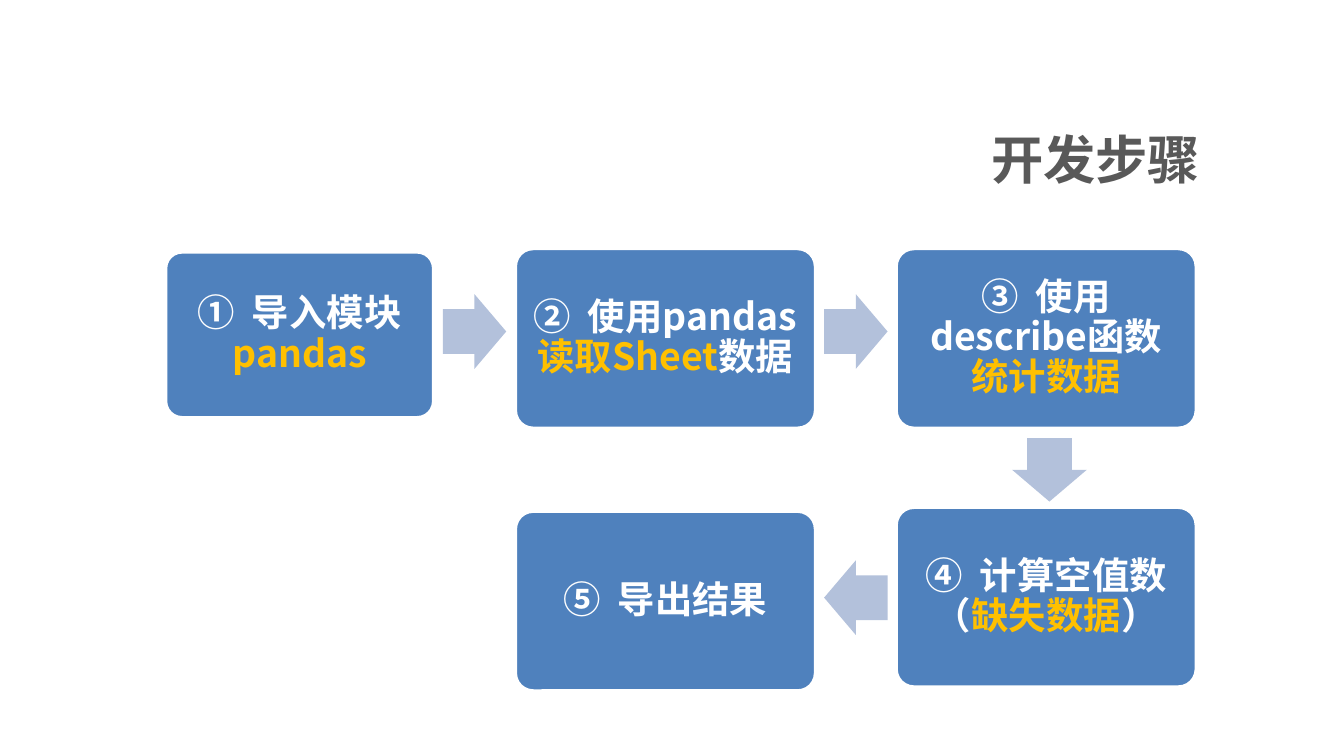
from lxml import etree
from pptx import Presentation
from pptx.dml.color import RGBColor
from pptx.enum import shapes, text
from pptx.oxml import ns
from pptx.util import Pt

FONT = "Noto Sans CJK SC"
GREY = RGBColor(0x59, 0x59, 0x59)
BLUE = RGBColor(0x4F, 0x81, 0xBD)
PALE = RGBColor(0xB3, 0xC1, 0xDB)
WHITE = RGBColor(0xFF, 0xFF, 0xFF)
GOLD = RGBColor(0xFF, 0xC0, 0x00)
SHAPE = shapes.MSO_SHAPE

TITLE = "开发步骤"
SMALL, LARGE = (143.8, 89), (161, 96.5)
COLUMNS = (88.6, 276, 480)

# left, top, size, runs of (text, colour)
STEPS = [
    (COLUMNS[0], 134.9, SMALL, [("①  导入模块", WHITE), ("pandas", GOLD)]),
    (COLUMNS[1], 133.1, LARGE,
     [("②  使用pandas", WHITE), ("读取Sheet", GOLD), ("数据", WHITE)]),
    (COLUMNS[2], 133.1, LARGE, [("③  使用describe函数", WHITE), ("统计数据", GOLD)]),
    (COLUMNS[2], 271.7, LARGE,
     [("④  计算空值数（", WHITE), ("缺失数据", GOLD), ("）", WHITE)]),
    (COLUMNS[1], 273.8, LARGE, [("⑤  导出结果", WHITE)]),
]

ARROW_LENGTH, ARROW_SPAN = 34, 40
GAP_1 = (COLUMNS[0] + SMALL[0] + COLUMNS[1]) / 2
GAP_2 = (COLUMNS[1] + LARGE[0] + COLUMNS[2]) / 2
# preset, centre x, centre y
ARROWS = [
    (SHAPE.RIGHT_ARROW, GAP_1, 177.6),
    (SHAPE.RIGHT_ARROW, GAP_2, 177.6),
    (SHAPE.DOWN_ARROW, 562.2, 251.7),
    (SHAPE.LEFT_ARROW, GAP_2, 320.2),
]


def write(sp, runs, size, align, inset, spacing=1.0):
    """Fill a shape with one paragraph of (text, colour) runs."""
    tf = sp.text_frame
    tf.word_wrap = True
    tf.auto_size = text.MSO_AUTO_SIZE.NONE
    tf.vertical_anchor = text.MSO_ANCHOR.MIDDLE
    tf.margin_left = tf.margin_right = tf.margin_top = tf.margin_bottom = Pt(inset)
    p = tf.paragraphs[0]
    p.alignment = align
    p.line_spacing = spacing
    for words, color in runs:
        r = p.add_run()
        r.text = words
        r.font.size = Pt(size)
        r.font.bold = True
        r.font.name = FONT
        r.font.color.rgb = color
        etree.SubElement(r.font._element, ns.qn("a:ea"), typeface=FONT)


def add_shape(s, preset, left, top, width, height, fill, adjustments):
    sp = s.shapes.add_shape(preset, Pt(left), Pt(top), Pt(width), Pt(height))
    sp.shadow.inherit = False
    sp.fill.solid()
    sp.fill.fore_color.rgb = fill
    sp.line.fill.background()
    for i, value in enumerate(adjustments):
        sp.adjustments[i] = value
    return sp


def main():
    prs = Presentation()
    prs.slide_width, prs.slide_height = Pt(720), Pt(405)
    s = prs.slides.add_slide(prs.slide_layouts[5])

    title = s.shapes.title
    title.left, title.top, title.width, title.height = Pt(130.3), Pt(62.6), Pt(516.2), Pt(44.6)
    write(title, [(TITLE, GREY)], 28, text.PP_ALIGN.RIGHT, 3.6)

    for left, top, (width, height), runs in STEPS:
        box = add_shape(s, SHAPE.ROUNDED_RECTANGLE, left, top, width, height, BLUE, [0.1])
        box.line.color.rgb = WHITE
        box.line.width = Pt(2)
        write(box, runs, 20, text.PP_ALIGN.CENTER, 5.8, spacing=0.9)

    for preset, x, y in ARROWS:
        width, height = ARROW_LENGTH, ARROW_SPAN
        if preset == SHAPE.DOWN_ARROW:
            width, height = height, width
        add_shape(s, preset, x - width / 2, y - height / 2, width, height, PALE, [0.6, 0.5])

    prs.save("out.pptx")


if __name__ == "__main__":
    main()
